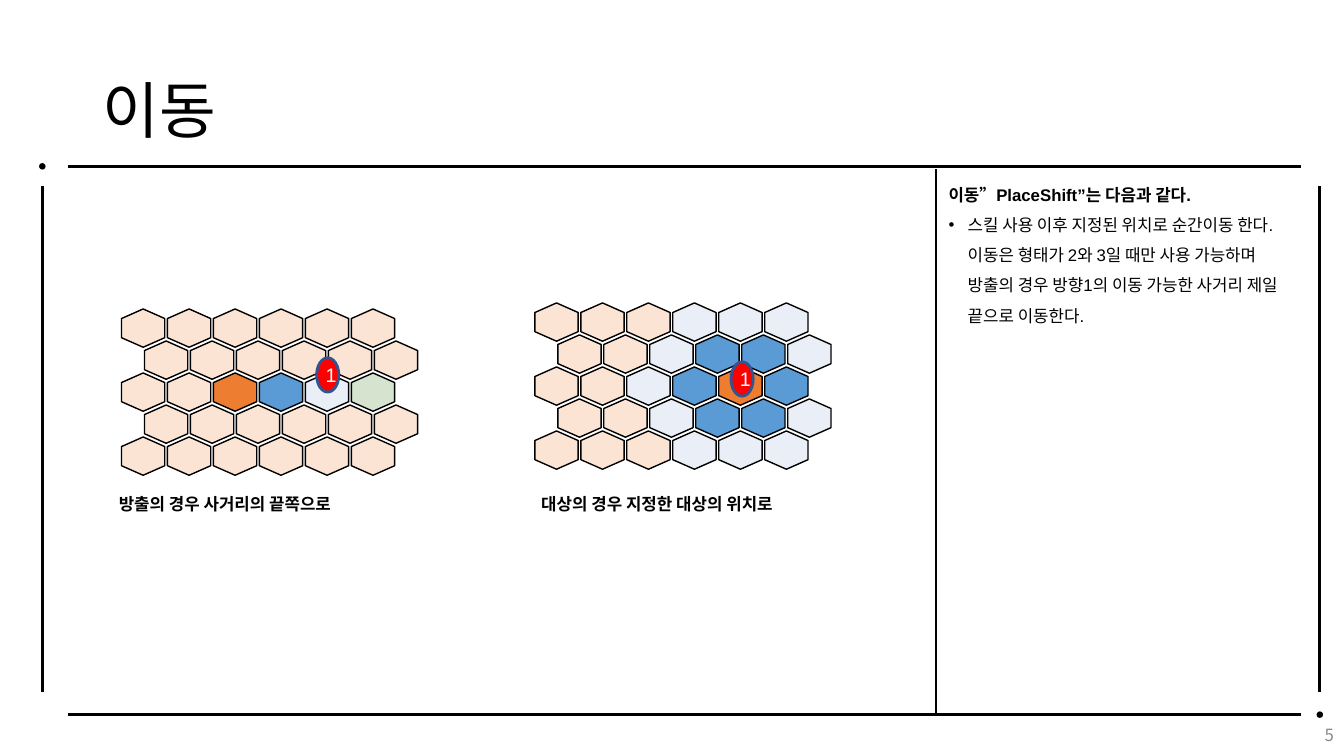
from lxml import etree
from pptx import Presentation
from pptx.dml.color import RGBColor
from pptx.enum.shapes import MSO_CONNECTOR, MSO_SHAPE
from pptx.enum.text import MSO_ANCHOR, PP_ALIGN
from pptx.oxml.ns import qn
from pptx.util import Inches, Pt

# Content
KOREAN = "Noto Sans CJK KR"
TITLE = "이동"
PAGE = "5"
RULE_HEADING = "이동”PlaceShift”는 다음과 같다."
RULE_BODY = ("스킬 사용 이후 지정된 위치로 순간이동 한다.\v"
             "이동은 형태가 2와 3일 때만 사용 가능하며\v"
             "방출의 경우 방향1의 이동 가능한 사거리 제일\v"
             "끝으로 이동한다.")
TILES = {".": "FBE4D4", "o": "EAEFF7", "B": "5B9BD5", "S": "ED7D31", "E": "D5E3CF"}
# Each board: tile rows, first tile corner, marker corner, caption and its left
BOARDS = [
    (["...ooo", "..oBBo", "..oBSB", "..oBBo", "...ooo"],
     (5.33, 2.98), (7.25, 3.59), "대상의 경우 지정한 대상의 위치로", 5.27),
    (["......", "......", "..SBoE", "......", "......"],
     (1.23, 3.04), (3.14, 3.55), "방출의 경우 사거리의 끝쪽으로", 1.08),
]

# Geometry in inches
WIDTH, HEIGHT = 13.33, 7.5
LEFT, RIGHT, TOP, BOTTOM = 0.67, 12.9, 1.65, 7.09
SIDES = (0.42, 13.09)
SIDE_TOP, SIDE_BOTTOM = 1.85, 6.87
DIVIDER = 9.28
DOT = 0.05
TILE_W, TILE_H = 0.38, 0.43
COLUMN, ROW = 2.28 / 5, 1.27 / 4  # pitch of the tile grid

prs = Presentation()
prs.slide_width, prs.slide_height = Inches(WIDTH), Inches(HEIGHT)
slide = prs.slides.add_slide(prs.slide_layouts[6])


def color(value):
    return RGBColor.from_string(value)


def rule(x1, y1, x2, y2, weight=2.25):
    line = slide.shapes.add_connector(
        MSO_CONNECTOR.STRAIGHT, *map(Inches, (x1, y1, x2, y2)))
    line.line.color.rgb = color("000000")
    line.line.width = Pt(weight)
    etree.SubElement(line._element.spPr, qn("a:effectLst"))


def shape(kind, x, y, w, h, fill, outline="000000", weight=1):
    item = slide.shapes.add_shape(kind, *map(Inches, (x, y, w, h)))
    item.shadow.inherit = False
    item.fill.solid()
    item.fill.fore_color.rgb = color(fill)
    item.line.color.rgb = color(outline)
    item.line.width = Pt(weight)
    return item


def style(paragraph, size, ink="000000", bold=False, face="Arial"):
    font = paragraph.font
    font.size, font.bold, font.name = Pt(size), bold, face
    font.color.rgb = color(ink)
    east_asian = etree.SubElement(paragraph._p.pPr.find(qn("a:defRPr")), qn("a:ea"))
    east_asian.set("typeface", KOREAN)


def text(x, y, w, h, words, size, spacing, anchor=MSO_ANCHOR.TOP, align=None, **look):
    frame = slide.shapes.add_textbox(*map(Inches, (x, y, w, h))).text_frame
    frame.word_wrap = True
    frame.vertical_anchor = anchor
    paragraph = frame.paragraphs[0]
    paragraph.text = words
    paragraph.line_spacing = spacing
    paragraph.alignment = align
    style(paragraph, size, **look)
    return frame


def bullet(paragraph):
    props = paragraph._p.get_or_add_pPr()
    props.set("marL", str(Inches(0.19)))
    props.set("indent", str(-Inches(0.19)))
    tint = etree.SubElement(props, qn("a:buClr"))
    etree.SubElement(tint, qn("a:srgbClr")).set("val", "000000")
    etree.SubElement(props, qn("a:buFont")).set("typeface", "Arial")
    etree.SubElement(props, qn("a:buChar")).set("char", "•")


# Title, frame and page number
text(0.92, 0.4, 11.5, 1.45, TITLE, 44, 0.9, MSO_ANCHOR.MIDDLE, face=KOREAN)
for y in (TOP, BOTTOM):
    rule(LEFT, y, RIGHT, y)
for x in SIDES:
    rule(x, SIDE_TOP, x, SIDE_BOTTOM)
for x, y in zip(SIDES, (TOP, BOTTOM)):
    shape(MSO_SHAPE.OVAL, x - DOT / 2, y - DOT / 2, DOT, DOT, "000000")
text(10.33, BOTTOM, 3, 0.4, PAGE, 12, 1, MSO_ANCHOR.MIDDLE, PP_ALIGN.RIGHT,
     ink="888888", face=KOREAN)

# Rules panel
rule(DIVIDER, 1.68, DIVIDER, BOTTOM, 1.5)
panel = text(9.31, 1.68, 4, 1.62, RULE_HEADING, 12, 1.5, bold=True)
body = panel.add_paragraph()
body.text = RULE_BODY
body.line_spacing = 1.5
bullet(body)
style(body, 12)

# Boards: odd rows shift by half a column
for rows, (x0, y0), marker_at, caption, caption_left in BOARDS:
    for r, row in enumerate(rows):
        for c, tile in enumerate(row):
            x = x0 + (c + r % 2 / 2) * COLUMN
            shape(MSO_SHAPE.HEXAGON, x, y0 + r * ROW, TILE_W, TILE_H,
                  TILES[tile]).rotation = 270
    marker = shape(MSO_SHAPE.OVAL, *marker_at, 0.22, 0.34, "FF0000", "325491", 2)
    marker.text_frame.vertical_anchor = MSO_ANCHOR.MIDDLE
    number = marker.text_frame.paragraphs[0]
    number.text = "1"
    number.alignment = PP_ALIGN.CENTER
    style(number, 14, "FFFFFF")
    text(caption_left, 4.75, 4, 0.36, caption, 12, 1.5, bold=True)

prs.save("out.pptx")
